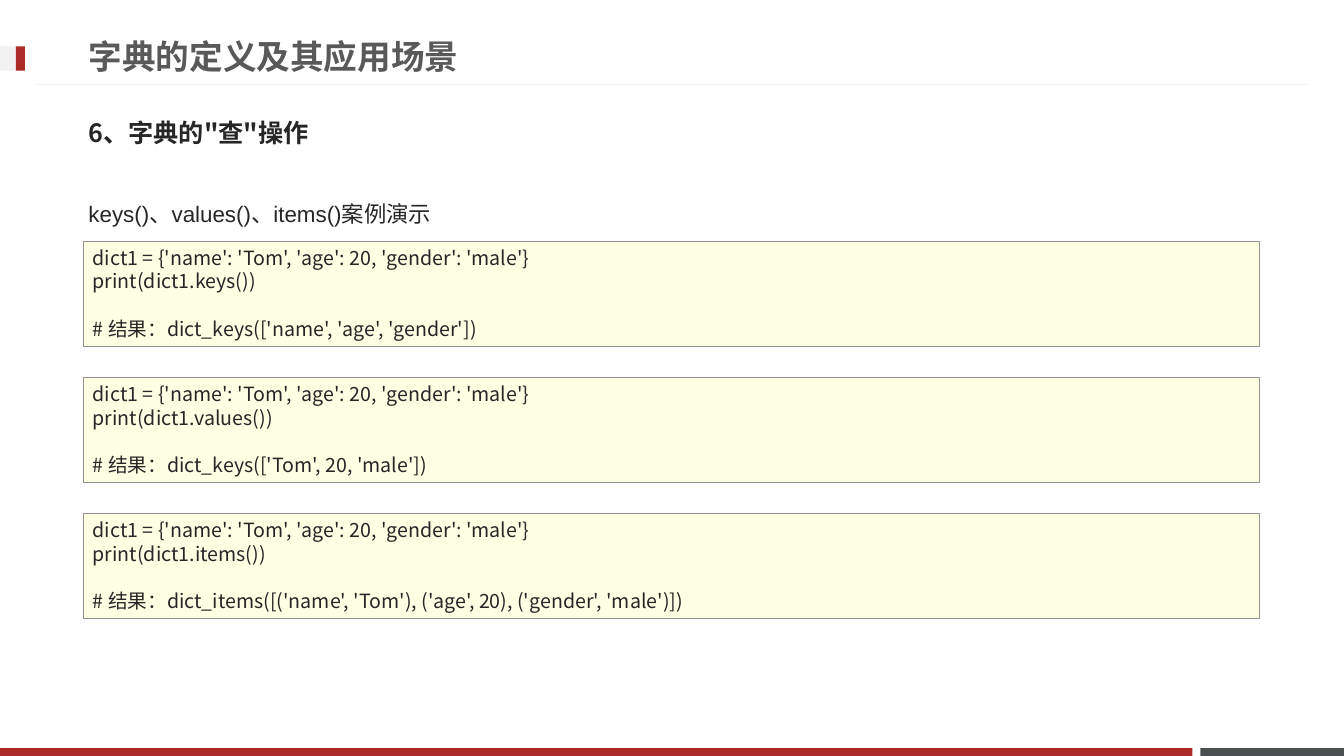
from lxml import etree
from pptx import Presentation
from pptx.dml.color import RGBColor
from pptx.enum.shapes import MSO_CONNECTOR, MSO_SHAPE
from pptx.enum.text import MSO_ANCHOR, MSO_AUTO_SIZE, PP_ALIGN
from pptx.oxml.ns import qn
from pptx.util import Cm, Pt

RECTANGLE = MSO_SHAPE.RECTANGLE
STRAIGHT = MSO_CONNECTOR.STRAIGHT
TOP, MIDDLE = MSO_ANCHOR.TOP, MSO_ANCHOR.MIDDLE
LEFT = PP_ALIGN.LEFT
NO_AUTOSIZE = MSO_AUTO_SIZE.NONE


def color(value):
    return RGBColor.from_string(value)


class SlideBuilder:
    latin_font = "Arial"
    asian_font = "Noto Sans CJK JP"
    red = "AD2B26"
    slate = "49504F"
    pale = "F2F2F2"
    title_color = "595959"
    text_color = "262626"
    code_fill = "FFFFE4"
    code_border = "919191"
    code_size = 14
    code_leading = 16.8

    def __init__(self, presentation):
        self.slide = presentation.slides.add_slide(presentation.slide_layouts[5])

    def format_paragraph(self, paragraph, size, font, text_color, bold=False):
        paragraph.alignment = LEFT
        for run in paragraph.runs:
            run.font.size = Pt(size)
            run.font.name = font
            run.font.bold = bold
            run.font.color.rgb = color(text_color)
            east_asian = etree.SubElement(run.font._element, qn("a:ea"))
            east_asian.set("typeface", self.asian_font)

    def prepare_frame(self, shape, anchor):
        frame = shape.text_frame
        frame.word_wrap = True
        frame.auto_size = NO_AUTOSIZE
        frame.vertical_anchor = anchor
        return frame

    def rectangle(self, left, top, width, height, fill, border=None):
        shape = self.slide.shapes.add_shape(
            RECTANGLE, Cm(left), Cm(top), Cm(width), Cm(height))
        shape.shadow.inherit = False
        shape.fill.solid()
        shape.fill.fore_color.rgb = color(fill)
        if border:
            shape.line.color.rgb = color(border)
            shape.line.width = Pt(0.25)
        else:
            shape.line.fill.background()
        return shape

    def rule(self, left, right, top):
        connector = self.slide.shapes.add_connector(
            STRAIGHT, Cm(left), Cm(top), Cm(right), Cm(top))
        connector.line.color.rgb = color(self.pale)
        connector.line.width = Pt(0.75)
        etree.SubElement(connector._element.spPr, qn("a:effectLst"))

    def title(self, text, left, top, width, height):
        title = self.slide.shapes.title
        title.left, title.top = Cm(left), Cm(top)
        title.width, title.height = Cm(width), Cm(height)
        frame = self.prepare_frame(title, MIDDLE)
        frame.text = text
        self.format_paragraph(
            frame.paragraphs[0], 24, self.latin_font, self.title_color, True)

    def text(self, text, left, top, width, height, size, font,
             anchor=TOP, bold=False, line_spacing=1.0):
        box = self.slide.shapes.add_textbox(
            Cm(left), Cm(top), Cm(width), Cm(height))
        frame = self.prepare_frame(box, anchor)
        frame.text = text
        paragraph = frame.paragraphs[0]
        paragraph.line_spacing = line_spacing
        paragraph.space_before = Pt(size * 0.2)
        self.format_paragraph(paragraph, size, font, self.text_color, bold)

    def code(self, lines, left, top, width, height):
        shape = self.rectangle(
            left, top, width, height, self.code_fill, self.code_border)
        frame = self.prepare_frame(shape, TOP)
        frame.text = "\n".join(lines)
        for paragraph in frame.paragraphs:
            paragraph.line_spacing = Pt(self.code_leading)
            self.format_paragraph(
                paragraph, self.code_size, self.asian_font, self.text_color)
        frame.paragraphs[-1].space_before = Pt(self.code_leading)


def main():
    presentation = Presentation()
    presentation.slide_width = Cm(33.87)
    presentation.slide_height = Cm(19.05)
    builder = SlideBuilder(presentation)

    builder.rectangle(30.25, 18.85, 3.62, 0.2, builder.slate)
    builder.rectangle(0, 18.85, 30.05, 0.2, builder.red)
    builder.rule(0.9, 32.97, 2.13)
    builder.rectangle(0, 1.17, 0.63, 0.61, builder.pale)
    builder.rectangle(0.4, 1.17, 0.23, 0.61, builder.red)

    builder.title("字典的定义及其应用场景", 1.98, 0.69, 24.36, 1.45)
    builder.text("6、字典的\"查\"操作", 1.98, 2.62, 29.87, 1.45, 18,
                 builder.asian_font, anchor=MIDDLE, bold=True)
    builder.text("keys()、values()、items()案例演示", 1.98, 4.57, 29.87, 1.4, 16,
                 builder.latin_font, line_spacing=1.5)

    examples = [
        ("keys", "dict_keys(['name', 'age', 'gender'])"),
        ("values", "dict_keys(['Tom', 20, 'male'])"),
        ("items", "dict_items([('name', 'Tom'), ('age', 20), ('gender', 'male')])"),
    ]
    for index, (method, result) in enumerate(examples):
        lines = [
            "dict1 = {'name': 'Tom', 'age': 20, 'gender': 'male'}",
            f"print(dict1.{method}())",
            f"# 结果：{result}",
        ]
        builder.code(lines, 2.09, 6.07 + index * 3.43, 29.64, 2.65)

    presentation.save("out.pptx")


if __name__ == "__main__":
    main()
